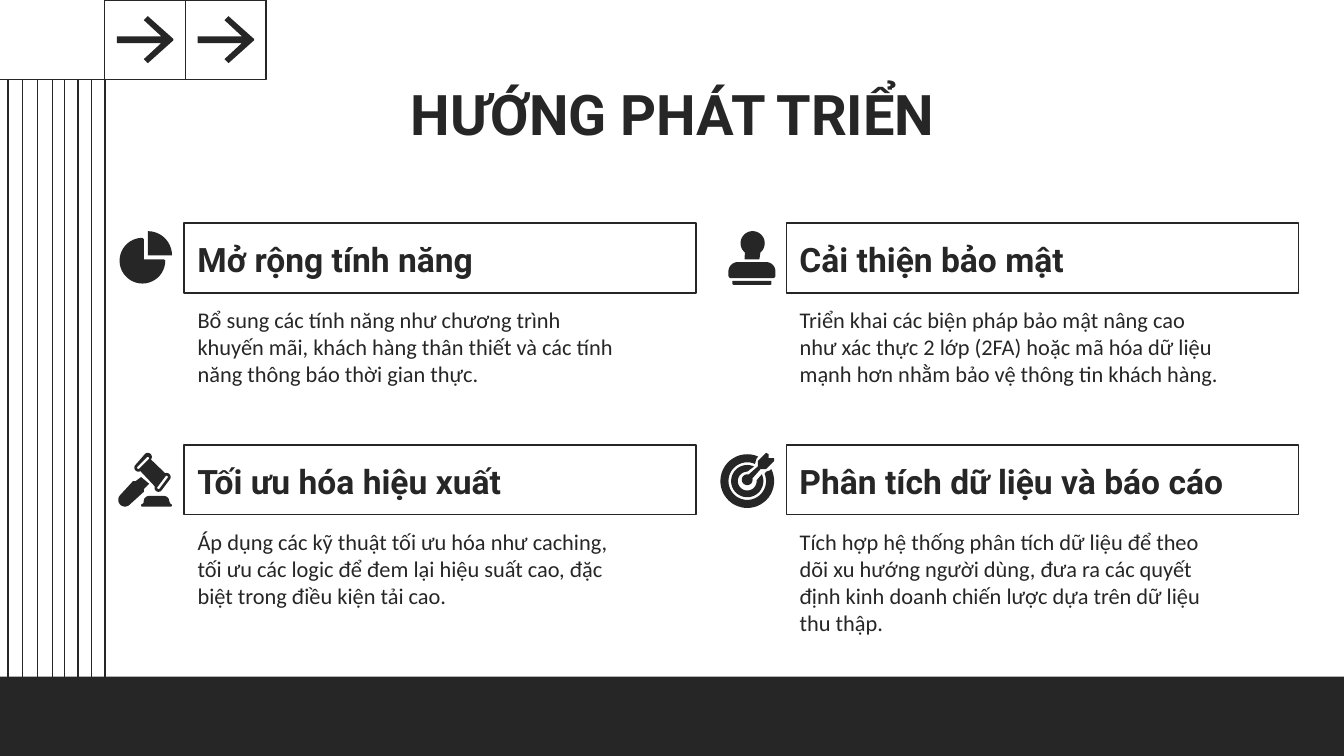
from dataclasses import dataclass
from math import cos, radians, sin

from lxml.etree import SubElement
from pptx import Presentation
from pptx.dml.color import RGBColor
from pptx.enum.shapes import MSO_CONNECTOR as Connector, MSO_SHAPE as Shape
from pptx.enum.text import MSO_ANCHOR as Anchor, MSO_AUTO_SIZE as AutoSize, PP_ALIGN as Align
from pptx.oxml.ns import qn
from pptx.util import Inches, Pt

Point = tuple[float, float]
Contour = list[Point]

SLIDE_WIDTH = 10
SLIDE_HEIGHT = SLIDE_WIDTH * 9 / 16
DARK = "262626"
HEADING_FONT = "Roboto"
BODY_FONT = "Calibri"
MARGIN = 0.1
BAND_HEIGHT = 0.59
FLOOR_TOP = SLIDE_HEIGHT - BAND_HEIGHT
STRIPES = [0.06, 0.17, 0.28, 0.39, 0.48, 0.58, 0.68, 0.78]
ARROW_BOX = 0.6
COLUMNS = [1.37, 5.85]
ROWS = [1.66, 3.31]
HEADING_WIDTH, HEADING_HEIGHT = 3.81, 0.52
BODY_WIDTH = 3.37


@dataclass
class Direction:
    heading: str
    body: str
    column: int
    row: int
    body_height: float


DIRECTIONS = [
    Direction("Mở rộng tính năng",
              "Bổ sung các tính năng như chương trình khuyến mãi, khách hàng thân thiết "
              "và các tính năng thông báo thời gian thực.", 0, 0, 0.76),
    Direction("Cải thiện bảo mật",
              "Triển khai các biện pháp bảo mật nâng cao như xác thực 2 lớp (2FA) hoặc "
              "mã hóa dữ liệu mạnh hơn nhằm bảo vệ thông tin khách hàng.", 1, 0, 0.76),
    Direction("Tối ưu hóa hiệu xuất",
              "Áp dụng các kỹ thuật tối ưu hóa như caching, tối ưu các logic để đem lại "
              "hiệu suất cao, đặc biệt trong điều kiện tải cao.", 0, 1, 1.04),
    Direction("Phân tích dữ liệu và báo cáo",
              "Tích hợp hệ thống phân tích dữ liệu để theo dõi xu hướng người dùng, đưa ra "
              "các quyết định kinh doanh chiến lược dựa trên dữ liệu thu thập.", 1, 1, 1.04),
]


def arc(x: float, y: float, radius: float, start: int, end: int) -> Contour:
    """Points on a circle, in degrees clockwise from the right."""
    steps = max(6, abs(end - start) // 8)
    angles = [radians(start + (end - start) * step / steps) for step in range(steps + 1)]
    return [(x + radius * cos(angle), y + radius * sin(angle)) for angle in angles]


# Each icon is a list of parts; each part is an outline followed by its holes.
PIE_CHART = [
    [arc(1.06, 1.94, 0.17, 0, 270) + [(1.07, 1.78), (1.07, 1.93), (1.22, 1.93)]],
    [arc(1.1, 1.9, 0.18, 270, 360) + [(1.1, 1.9)]],
]
STAMP = [
    [arc(5.49, 2.02, 0.07, 180, 270) + arc(5.7, 2.02, 0.07, 270, 360)
     + arc(5.75, 2.05, 0.02, 0, 90) + arc(5.44, 2.05, 0.02, 90, 180)],
    [[(5.45, 2.09), (5.74, 2.09)] + arc(5.73, 2.11, 0.01, 0, 90)
     + arc(5.46, 2.11, 0.01, 90, 180)],
    [arc(5.6, 1.81, 0.09, 130, 410) + [(5.65, 1.93), (5.54, 1.93)]],
]
GAVEL = [
    [arc(1.1, 3.4, 0.03, 225, 400) + arc(1.24, 3.55, 0.03, 250, 405)
     + arc(1.18, 3.63, 0.03, 45, 200) + arc(1.03, 3.48, 0.03, 60, 225),
     arc(1.1, 3.41, 0.01, 225, 405) + arc(1.03, 3.48, 0.01, 45, 225),
     arc(1.24, 3.55, 0.01, 225, 405) + arc(1.18, 3.63, 0.01, 45, 225)],
    [[(1.05, 3.55), (1.11, 3.6), (1.07, 3.64), (1.07, 3.66)]
     + arc(0.93, 3.72, 0.05, 45, 225) + [(0.99, 3.58), (1.01, 3.58)]],
    [arc(1.11, 3.73, 0.04, 180, 270) + arc(1.22, 3.73, 0.04, 270, 360)
     + arc(1.27, 3.76, 0.01, 270, 450) + arc(1.06, 3.76, 0.01, 90, 270) + [(1.07, 3.74)]],
]
TARGET = [
    [arc(5.56, 3.57, 0.04, -15, 285)
     + [(5.64, 3.47), (5.64, 3.43), (5.7, 3.37), (5.72, 3.38), (5.72, 3.41),
        (5.76, 3.41), (5.76, 3.43), (5.7, 3.49), (5.66, 3.49)]],
    [arc(5.56, 3.58, 0.12, -25, 295) + arc(5.56, 3.58, 0.07, 270, -5)],
    [arc(5.56, 3.58, 0.2, -27, 294) + [(5.63, 3.41)]
     + arc(5.56, 3.58, 0.14, 294, -23) + [(5.7, 3.51), (5.73, 3.5)]],
]
ARROW = [(0.32, 0.12), (0.51, 0.29), (0.51, 0.3), (0.32, 0.47), (0.29, 0.44), (0.42, 0.32),
         (0.09, 0.32), (0.09, 0.27), (0.42, 0.27), (0.29, 0.15)]


def rgb(color: str) -> RGBColor:
    return RGBColor.from_string(color)


def place(shape, left: float, top: float, width: float, height: float) -> None:
    shape.left, shape.top = Inches(left), Inches(top)
    shape.width, shape.height = Inches(width), Inches(height)


def write(shape, text: str, font: str, size: int, bold: bool, align, anchor) -> None:
    frame = shape.text_frame
    frame.text = text
    frame.word_wrap = True
    frame.auto_size = AutoSize.NONE
    frame.vertical_anchor = anchor
    frame.margin_left = frame.margin_right = Inches(MARGIN)
    frame.margin_top = frame.margin_bottom = Inches(MARGIN)
    paragraph = frame.paragraphs[0]
    properties = paragraph._p.get_or_add_pPr()
    properties.set("marL", "0")
    properties.set("indent", "0")
    SubElement(properties, qn("a:buNone"))
    paragraph.alignment = align
    paragraph.space_before = Pt(0)
    run_font = paragraph.runs[0].font
    run_font.name, run_font.size, run_font.bold = font, Pt(size), bold
    run_font.color.rgb = rgb(DARK)


def add_line(slide, start: Point, end: Point) -> None:
    line = slide.shapes.add_connector(
        Connector.STRAIGHT, *(Inches(value) for value in (*start, *end)))
    line.line.color.rgb = rgb(DARK)
    line.line.width = Pt(0.75)
    SubElement(line._element.spPr, qn("a:effectLst"))


def fill_dark(shape) -> None:
    shape.shadow.inherit = False
    shape.fill.solid()
    shape.fill.fore_color.rgb = rgb(DARK)
    shape.line.fill.background()


def add_frame(slide, left: float, top: float, width: float, height: float):
    """An unfilled rectangle with a thin dark border."""
    frame = slide.shapes.add_shape(
        Shape.RECTANGLE, Inches(left), Inches(top), Inches(width), Inches(height))
    frame.shadow.inherit = False
    frame.fill.background()
    frame.line.color.rgb = rgb(DARK)
    frame.line.width = Pt(0.75)
    return frame


def add_outline(slide, contours: list[Contour]) -> None:
    scaled = [[(Inches(x), Inches(y)) for x, y in contour] for contour in contours]
    builder = slide.shapes.build_freeform(*scaled[0][0])
    builder.add_line_segments(scaled[0][1:], close=True)
    for hole in scaled[1:]:
        builder.move_to(*hole[0])
        builder.add_line_segments(hole[1:], close=True)
    fill_dark(builder.convert_to_shape())


def add_direction(slide, direction: Direction, body) -> None:
    left, top = COLUMNS[direction.column], ROWS[direction.row]
    heading = add_frame(slide, left, top, HEADING_WIDTH, HEADING_HEIGHT)
    write(heading, direction.heading, HEADING_FONT, 18, True, Align.LEFT, Anchor.BOTTOM)
    place(body, left, top + HEADING_HEIGHT, BODY_WIDTH, direction.body_height)
    write(body, direction.body, BODY_FONT, 12, False, Align.LEFT, Anchor.TOP)


def add_decoration(slide) -> None:
    floor = slide.shapes.add_shape(
        Shape.RECTANGLE, 0, Inches(FLOOR_TOP), Inches(SLIDE_WIDTH), Inches(BAND_HEIGHT))
    fill_dark(floor)
    for x in STRIPES:
        add_line(slide, (x, BAND_HEIGHT), (x, FLOOR_TOP))
    add_line(slide, (0, BAND_HEIGHT), (STRIPES[-1], BAND_HEIGHT))
    for index in range(2):
        left = STRIPES[-1] + index * ARROW_BOX
        add_frame(slide, left, 0, ARROW_BOX, BAND_HEIGHT)
        add_outline(slide, [[(left + x, y) for x, y in ARROW]])


def main() -> None:
    presentation = Presentation()
    presentation.slide_width = Inches(SLIDE_WIDTH)
    presentation.slide_height = Inches(SLIDE_HEIGHT)
    comparison_layout = presentation.slide_layouts[4]
    slide = presentation.slides.add_slide(comparison_layout)
    title, *bodies = slide.placeholders
    add_decoration(slide)
    place(title, 0.79, 0.49, 8.43, 0.63)
    write(title, "HƯỚNG PHÁT TRIỂN", HEADING_FONT, 30, True, Align.CENTER, Anchor.TOP)
    for direction, body in zip(DIRECTIONS, bodies):
        add_direction(slide, direction, body)
    for part in PIE_CHART + STAMP + GAVEL + TARGET:
        add_outline(slide, part)
    presentation.save("out.pptx")


if __name__ == "__main__":
    main()
